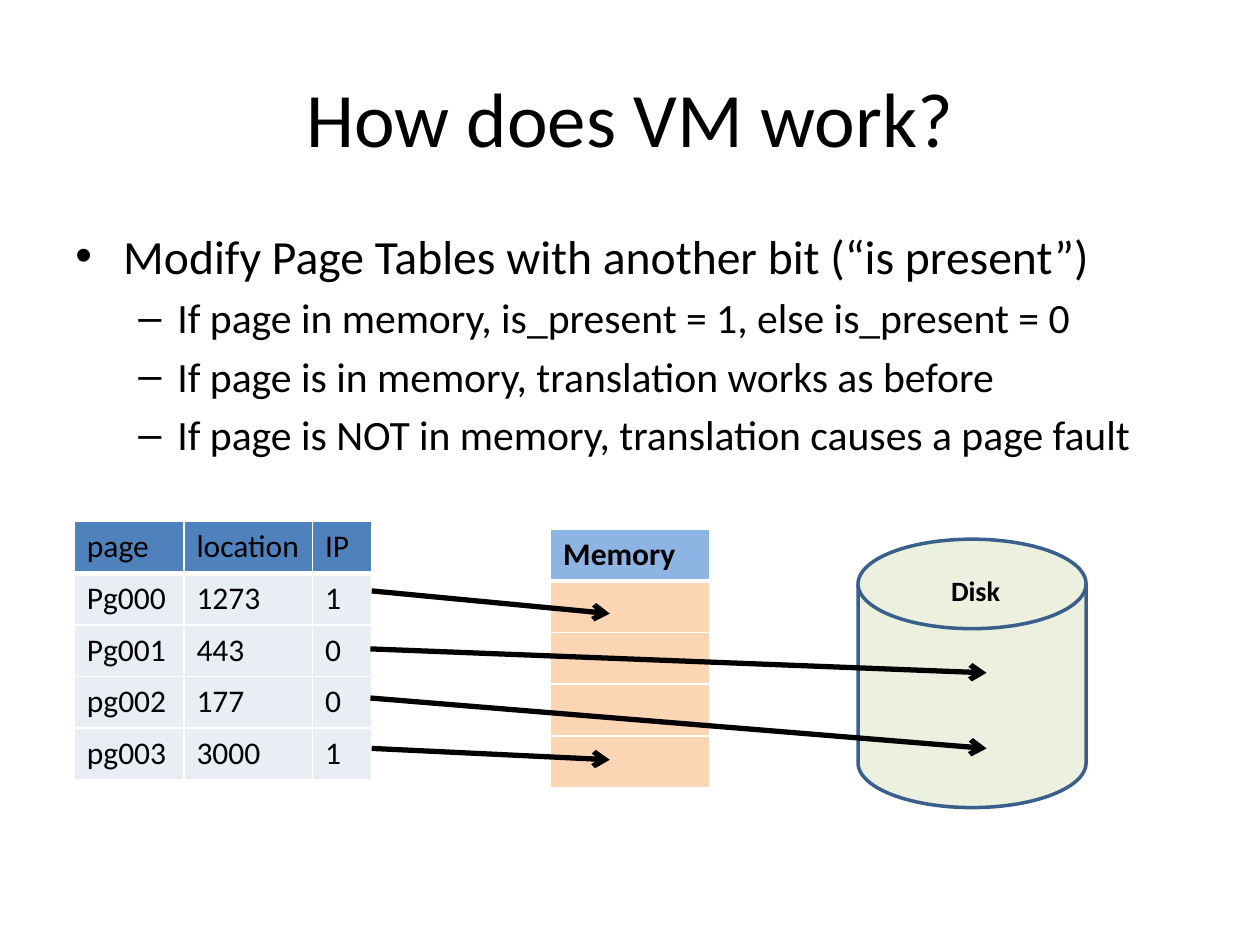
from lxml.etree import SubElement
from pptx import Presentation
from pptx.dml.color import RGBColor
from pptx.enum.shapes import MSO_CONNECTOR as Connector, MSO_SHAPE as Shape
from pptx.enum.text import MSO_ANCHOR as Anchor, PP_ALIGN as Align
from pptx.oxml.ns import qn
from pptx.util import Inches, Pt

FONT = "Calibri"
BLACK = "000000"
WHITE = "FFFFFF"
ROW_HEIGHT = 0.41

BULLETS = [
    (0, "Modify Page Tables with another bit (“is present”)"),
    (1, "If page in memory, is_present = 1, else is_present = 0"),
    (1, "If page is in memory, translation works as before"),
    (1, "If page is NOT in memory, translation causes a page fault"),
]
BULLET_STYLES = [("•", 27.2, 0.38, 0.38), ("–", 23.8, 0.81, 0.31)]
PAGE_TABLE = [
    ["page", "location", "IP"],
    ["Pg000", "1273", "1"],
    ["Pg001", "443", "0"],
    ["pg002", "177", "0"],
    ["pg003", "3000", "1"],
]
MEMORY = [["Memory"], [""], [""], [""], [""]]
ARROWS = [
    (2.95, 4.69, 4.84, 4.87),
    (2.95, 5.94, 4.84, 6.03),
    (2.94, 5.15, 7.83, 5.34),
    (2.94, 5.54, 7.83, 5.94),
]


def color(value):
    return RGBColor.from_string(value)


def add_span(para, text, size, bold=False):
    span = para.add_run()
    span.text = text
    span.font.name = FONT
    span.font.size = Pt(size)
    span.font.bold = bold
    span.font.color.rgb = color(BLACK)


def set_title(page, text):
    title = page.shapes.title
    title.left, title.top = Inches(0.5), Inches(0.3)
    title.width, title.height = Inches(9), Inches(1.25)
    title.text_frame.vertical_anchor = Anchor.MIDDLE
    para = title.text_frame.paragraphs[0]
    para.alignment = Align.CENTER
    add_span(para, text, 44)


def set_bullet(para, mark, margin, hanging):
    props = para._p.get_or_add_pPr()
    props.set("marL", str(Inches(margin)))
    props.set("indent", str(-Inches(hanging)))
    SubElement(props, qn("a:buFont"), typeface="Arial")
    SubElement(props, qn("a:buChar"), char=mark)


def add_bullets(page, bullets):
    box = page.shapes.add_textbox(Inches(0.5), Inches(1.75), Inches(9), Inches(2.39))
    frame = box.text_frame
    frame.word_wrap = True
    for index, (level, text) in enumerate(bullets):
        para = frame.add_paragraph() if index else frame.paragraphs[0]
        mark, size, margin, hanging = BULLET_STYLES[level]
        para.level = level
        para.space_before = Pt(round(size * 0.2, 1))
        set_bullet(para, mark, margin, hanging)
        add_span(para, text, size)


def set_borders(cell, top, bottom):
    props = cell._tc.get_or_add_tcPr()
    for side, width in (("L", 1), ("R", 1), ("T", top), ("B", bottom)):
        line = SubElement(props, qn(f"a:ln{side}"), w=str(Pt(width)))
        fill = SubElement(line, qn("a:solidFill"))
        SubElement(fill, qn("a:srgbClr"), val=WHITE)


def add_grid(page, left, top, widths, rows, header_fill, body_fill, bold_header=False):
    frame = page.shapes.add_table(
        len(rows), len(widths), Inches(left), Inches(top),
        Inches(sum(widths)), Inches(ROW_HEIGHT * len(rows)))
    table = frame.table
    table.horz_banding = False
    for column, width in zip(table.columns, widths):
        column.width = Inches(width)
    for row_index, texts in enumerate(rows):
        table.rows[row_index].height = Inches(ROW_HEIGHT)
        header = row_index == 0
        for column_index, text in enumerate(texts):
            cell = table.cell(row_index, column_index)
            set_borders(cell, 3 if row_index == 1 else 1, 3 if header else 1)
            cell.fill.solid()
            cell.fill.fore_color.rgb = color(header_fill if header else body_fill)
            if text:
                add_span(cell.text_frame.paragraphs[0], text, 18, header and bold_header)


def add_disk(page):
    disk = page.shapes.add_shape(
        Shape.FLOWCHART_MAGNETIC_DISK, Inches(6.81), Inches(4.28), Inches(1.81), Inches(2.13))
    disk.shadow.inherit = False
    disk.fill.solid()
    disk.fill.fore_color.rgb = color("EBF1DE")
    disk.line.color.rgb = color("3A5F8C")
    disk.line.width = Pt(2)


def add_label(page, text):
    box = page.shapes.add_textbox(Inches(7.45), Inches(4.5), Inches(0.59), Inches(0.37))
    box.text_frame.word_wrap = False
    add_span(box.text_frame.paragraphs[0], text, 16, True)


def add_arrow(page, *ends):
    arrow = page.shapes.add_connector(Connector.STRAIGHT, *map(Inches, ends))
    arrow.line.color.rgb = color(BLACK)
    arrow.line.width = Pt(3)
    SubElement(arrow.line._get_or_add_ln(), qn("a:tailEnd"), type="arrow")
    SubElement(arrow._element.spPr, qn("a:effectLst"))


def main():
    deck = Presentation()
    deck.slide_width, deck.slide_height = Inches(10), Inches(7.5)
    page = deck.slides.add_slide(deck.slide_layouts[5])
    set_title(page, "How does VM work?")
    add_bullets(page, BULLETS)
    add_grid(page, 0.59, 4.14, [0.87, 1.02, 0.47], PAGE_TABLE, "4F81BD", "E9EDF4")
    add_grid(page, 4.37, 4.2, [1.26], MEMORY, "8EB4E3", "FCD5B5", bold_header=True)
    add_disk(page)
    add_label(page, "Disk")
    for ends in ARROWS:
        add_arrow(page, *ends)
    deck.save("out.pptx")


if __name__ == "__main__":
    main()
